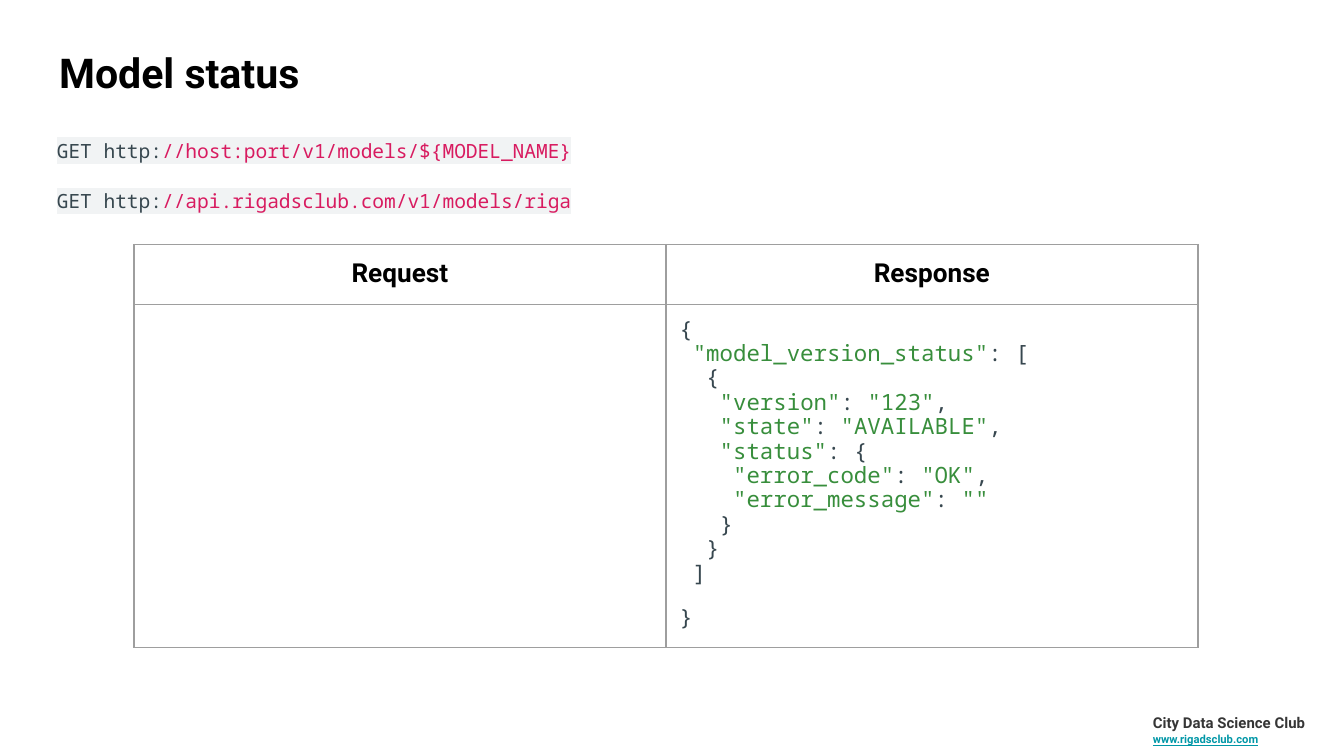
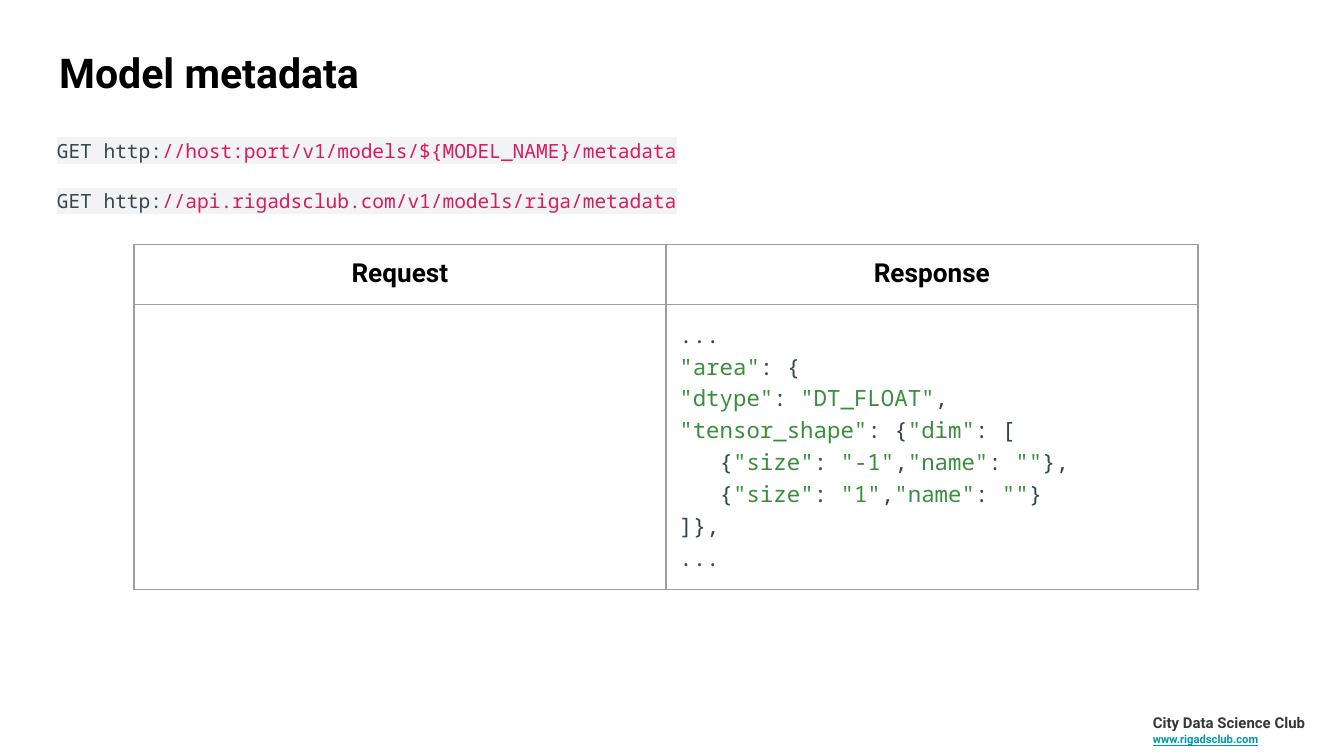
from pptx import Presentation
from pptx.dml.color import RGBColor
from pptx.enum.text import MSO_ANCHOR as Anchor, MSO_AUTO_SIZE as AutoSize, PP_ALIGN as Align
from pptx.oxml import parse_xml
from pptx.oxml.ns import nsdecls
from pptx.util import Pt

SANS, MONO = "Roboto", "Noto Sans Mono"
BLACK, CODE, STRING, PATH = "000000", "37474F", "388E3C", "D81B60"
SHADE, BORDER, FOOTER, LINK = "F1F3F4", "9E9E9E", "363636", "0097A7"
INSET = 7.2
HEADER_HEIGHT = 32

STATUS_RESPONSE = """{
 "model_version_status": [
  {
   "version": "123",
   "state": "AVAILABLE",
   "status": {
    "error_code": "OK",
    "error_message": ""
   }
  }
 ]
}"""

METADATA_RESPONSE = """...
"area": {
"dtype": "DT_FLOAT",
"tensor_shape": {"dim": [
   {"size": "-1","name": ""},
   {"size": "1","name": ""}
]},
..."""


def rgb(value):
    return RGBColor.from_string(value)


def add_run(p, text, size=12, font=SANS, color=BLACK, bold=False, underline=None, highlight=None):
    r = p.add_run()
    r.text = text
    f = r.font
    f.size, f.name, f.bold, f.underline = Pt(size), font, bold, underline
    f.color.rgb = rgb(color)
    if highlight:
        fill = r._r.rPr.find("{*}solidFill")
        fill.addnext(parse_xml(
            f'<a:highlight {nsdecls("a")}><a:srgbClr val="{highlight}"/></a:highlight>'))


def next_paragraph(tf, index):
    return tf.add_paragraph() if index else tf.paragraphs[0]


def set_margins(target, left=INSET):
    target.margin_left = Pt(left)
    target.margin_top = target.margin_right = target.margin_bottom = Pt(INSET)


def set_borders(cell, color=BORDER, width=0.75):
    tcPr = cell._tc.get_or_add_tcPr()
    for i, side in enumerate(("lnL", "lnR", "lnT", "lnB")):
        tcPr.insert(i, parse_xml(
            f'<a:{side} {nsdecls("a")} w="{Pt(width)}"><a:solidFill>'
            f'<a:srgbClr val="{color}"/></a:solidFill></a:{side}>'))


def write_json(tf, code, spacing, last_spacing):
    """Write code line by line, with the quoted strings in their own colour."""
    lines = code.split("\n")
    for i, line in enumerate(lines):
        p = next_paragraph(tf, i)
        p.line_spacing = last_spacing if i == len(lines) - 1 else spacing
        for j, part in enumerate(line.split('"')):
            quoted = j % 2 == 1
            if quoted or part:
                add_run(p, f'"{part}"' if quoted else part, font=MONO,
                        color=STRING if quoted else CODE)


class Deck:
    def __init__(self):
        self.prs = Presentation()
        self.prs.slide_width, self.prs.slide_height = Pt(720), Pt(405)
        self.s = None

    def add_slide(self, title):
        self.s = self.prs.slides.add_slide(self.prs.slide_layouts[5])
        self.add_title(title)
        self.add_footer()

    def add_title(self, text):
        sp = self.s.shapes.title
        sp.left, sp.top, sp.width, sp.height = Pt(24.5), Pt(16), Pt(671), Pt(45)
        tf = sp.text_frame
        tf.auto_size = AutoSize.NONE
        tf.vertical_anchor = Anchor.MIDDLE
        set_margins(tf)
        p = tf.paragraphs[0]
        p.alignment = Align.LEFT
        add_run(p, text, size=22, bold=True)

    def add_textbox(self, x, y, w, h, left=INSET):
        tf = self.s.shapes.add_textbox(Pt(x), Pt(y), Pt(w), Pt(h)).text_frame
        tf.word_wrap = True
        set_margins(tf, left)
        return tf

    def add_footer(self):
        tf = self.add_textbox(610.5, 380.5, 109.5, 20)
        tf.vertical_anchor = Anchor.MIDDLE
        lines = (("City Data Science Club", dict(size=8, color=FOOTER)),
                 ("www.rigadsclub.com", dict(size=6, color=LINK, underline=True)))
        for i, (text, style) in enumerate(lines):
            p = next_paragraph(tf, i)
            p.line_spacing = 1.1
            add_run(p, text, bold=True, **style)

    def add_endpoint(self, y, address):
        p = self.add_textbox(0.5, y, 719.5, 27.5, left=0).paragraphs[0]
        p._p.get_or_add_pPr().set("marL", str(Pt(30)))
        for text, color in (("GET http:", CODE), (address, PATH)):
            add_run(p, text, size=10.5, font=MONO, color=color, highlight=SHADE)

    def add_exchange(self, response, body_height, spacing, last_spacing):
        """Add the table of request and response."""
        heights = (HEADER_HEIGHT, body_height)
        table = self.s.shapes.add_table(2, 2, Pt(71.75), Pt(131), Pt(570), Pt(sum(heights))).table
        table.first_row = table.horz_banding = False
        for row, height in zip(table.rows, heights):
            row.height = Pt(height)
        for cell in table.iter_cells():
            set_margins(cell)
            cell.fill.background()
            set_borders(cell)
        for col, heading in enumerate(("Request", "Response")):
            p = table.cell(0, col).text_frame.paragraphs[0]
            p.alignment = Align.CENTER
            add_run(p, heading, size=14, bold=True)
        write_json(table.cell(1, 1).text_frame, response, spacing, last_spacing)


def main():
    deck = Deck()
    pages = (("Model status", "", STATUS_RESPONSE, 184, 0.8, 1.5),
             ("Model metadata", "/metadata", METADATA_RESPONSE, 153, 1.05, 1.05))
    for title, suffix, response, body_height, spacing, last_spacing in pages:
        deck.add_slide(title)
        deck.add_endpoint(68, "//host:port/v1/models/${MODEL_NAME}" + suffix)
        deck.add_endpoint(95, "//api.rigadsclub.com/v1/models/riga" + suffix)
        deck.add_exchange(response, body_height, spacing, last_spacing)
    deck.prs.save("out.pptx")


if __name__ == "__main__":
    main()
